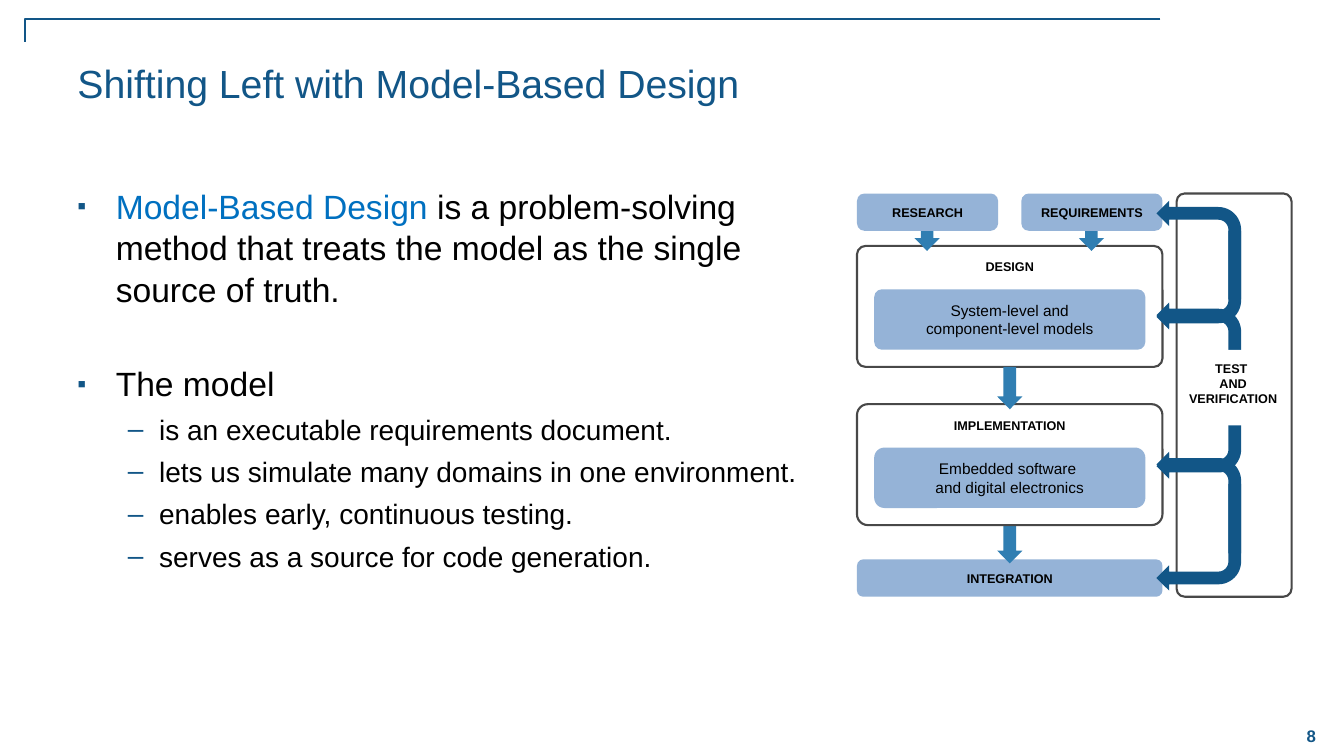
import pptx
import pptx.util
import pptx.dml.color
import pptx.enum.shapes
import pptx.enum.text
import pptx.oxml.ns
import pptx.oxml.xmlchemy

Inches, Pt = pptx.util.Inches, pptx.util.Pt
Element = pptx.oxml.xmlchemy.OxmlElement
KIND = pptx.enum.shapes.MSO_SHAPE
ALIGN = pptx.enum.text.PP_ALIGN
ANCHOR = pptx.enum.text.MSO_ANCHOR
NAVY, BLUE, PALE, GRAY = "125687", "307EB2", "95B3D7", "484848"
BLACK, WHITE = "000000", "FFFFFF"

deck = pptx.Presentation()
deck.slide_width, deck.slide_height = Inches(13.33), Inches(7.5)
slide = deck.slides.add_slide(deck.slide_layouts[6])
shapes = slide.shapes


def paint(target, color):
    """Give a fill, a line or a font one solid colour."""
    if hasattr(target, "solid"):
        target.solid()
        target = target.fore_color
    else:
        target = target.color
    target.rgb = pptx.dml.color.RGBColor.from_string(color)


def draw(kind, place, fill=None, line=None, adj=(), lines=(), size=9, bold=True, top=False):
    """Add a preset shape, or a text box if kind is None, with centred text."""
    box = [Inches(v) for v in place]
    if kind is None:
        shape = shapes.add_textbox(*box)
    else:
        shape = shapes.add_shape(kind, *box)
        shape.shadow.inherit = False
        for i, value in enumerate(adj):
            shape.adjustments[i] = value
        if fill:
            paint(shape.fill, fill)
        else:
            shape.fill.background()
        if line:
            paint(shape.line, line)
            shape.line.width = Pt(1.5)
        else:
            shape.line.fill.background()
    frame = shape.text_frame
    frame.word_wrap = True
    frame.vertical_anchor = ANCHOR.TOP if top else ANCHOR.MIDDLE
    frame.margin_left = frame.margin_right = Inches(0.1)
    frame.margin_top = frame.margin_bottom = Inches(0.1)
    for i, text in enumerate(lines):
        para = frame.paragraphs[0] if i == 0 else frame.add_paragraph()
        para.alignment = ALIGN.CENTER
        run = para.add_run()
        run.text = text
        run.font.name, run.font.size, run.font.bold = "Arial", Pt(size), bold
        paint(run.font, BLACK)
    return shape


# Header rule, title and page number
outline = shapes.build_freeform(Inches(11.51), Inches(0.19), scale=1.0)
outline.add_line_segments(
    [(Inches(0.25), Inches(0.19)), (Inches(0.25), Inches(0.42))], close=False)
rule = outline.convert_to_shape()
rule.shadow.inherit = False
rule.fill.background()
paint(rule.line, NAVY)
rule.line.width = Pt(1)

for place, text, size, bold in [
    ((0.67, 0.54, 11.78, 1.08), "Shifting Left with Model-Based Design", 28, False),
    ((12.67, 7.09, 0.67, 0.42), "8", 12, True),
]:
    label = shapes.add_textbox(*[Inches(v) for v in place])
    frame = label.text_frame
    frame.word_wrap = True
    para = frame.paragraphs[0]
    if bold:
        frame.vertical_anchor = ANCHOR.MIDDLE
        para.alignment = ALIGN.CENTER
    run = para.add_run()
    run.text = text
    run.font.name, run.font.size, run.font.bold = "Arial", Pt(size), bold
    paint(run.font, NAVY)

# Bullets: level, space before, runs
points = [
    (0, 0, [("Model-Based Design ", "0070C0"),
            ("is a problem-solving method that treats the model as the single source of truth.",
             BLACK)]),
    (0, 38, [("The model", BLACK)]),
    (1, 5, [("is an executable requirements document.", BLACK)]),
    (1, 5, [("lets us simulate many domains in one environment.", BLACK)]),
    (1, 5, [("enables early, continuous testing.", BLACK)]),
    (1, 5, [("serves as a source for code generation.", BLACK)]),
]
# Per level: left margin, hanging indent, bullet, bullet percent, size, line spacing
levels = [(0.38, 0.38, "▪", 75, 24, 1.03), (0.81, 0.31, "–", 100, 20, 1.05)]
body = shapes.add_textbox(Inches(0.67), Inches(1.78), Inches(7.53), Inches(5.08))
frame = body.text_frame
frame.word_wrap = True
for i, (level, gap, runs) in enumerate(points):
    left, hang, mark, percent, size, pitch = levels[level]
    para = frame.paragraphs[0] if i == 0 else frame.add_paragraph()
    para.level = level
    para.line_spacing = pitch
    para.space_before = Pt(gap)
    props = para._p.get_or_add_pPr()
    props.set("marL", str(Inches(left)))
    props.set("indent", str(-Inches(hang)))
    color = Element("a:buClr")
    tone = Element("a:srgbClr")
    tone.set("val", NAVY)
    color.append(tone)
    props.append(color)
    for tag, key, value in [("a:buSzPct", "val", str(percent * 1000)),
                            ("a:buFont", "typeface", "Arial"), ("a:buChar", "char", mark)]:
        part = Element(tag)
        part.set(key, value)
        props.append(part)
    for text, ink in runs:
        run = para.add_run()
        run.text = text
        run.font.name, run.font.size = "Arial", Pt(size)
        paint(run.font, ink)

# Workflow, from integration up to the inputs
ROUND, DOWN = KIND.ROUNDED_RECTANGLE, KIND.DOWN_ARROW
head = (0.5, 0.51)
draw(ROUND, (8.5, 5.55, 3.03, 0.37), PALE, lines=["INTEGRATION"])
draw(DOWN, (9.89, 5.2, 0.25, 0.39), BLUE, adj=head)
for y, name, models, outer, inner in [
    (4.01, "IMPLEMENTATION", ["Embedded software ", "and digital electronics"], 0.09, 0.17),
    (2.44, "DESIGN", ["System-level and", "component-level models"], 0.07, 0.13),
]:
    draw(ROUND, (8.5, y, 3.03, 1.2), WHITE, GRAY, [outer], lines=[name], top=True)
    draw(ROUND, (8.67, y + 0.43, 2.69, 0.6), PALE, adj=[inner],
         lines=models, size=11, bold=False)
draw(DOWN, (9.89, 3.64, 0.25, 0.42), BLUE, adj=head)

draw(ROUND, (11.67, 1.92, 1.14, 4), line=GRAY, adj=[0.07])
for x, name in [(8.5, "RESEARCH"), (10.13, "REQUIREMENTS")]:
    draw(DOWN, (x + 0.57, 2.16, 0.25, 0.33), BLUE, adj=head)
    draw(ROUND, (x, 1.92, 1.4, 0.37), PALE, adj=[0.2], lines=[name])

# Feedback arrows, alternately pointing to the top and the bottom of their bend
for i, (y, tall) in enumerate([(1.99, 0.98), (2.29, 0.98), (3, 1.17),
                               (3.58, 1.17), (4.48, 1.01), (4.8, 1.06)]):
    arrow = draw(KIND.BENT_ARROW, (11.47, y, 0.84, tall), NAVY, adj=[0.15, 0.15, 0.15, 0.27])
    arrow.rotation = 180
    if i % 2 == 0:
        arrow._element.spPr.find(pptx.oxml.ns.qn("a:xfrm")).set("flipV", "1")

draw(KIND.RECTANGLE, (11.75, 3.47, 0.92, 0.75), WHITE)
draw(None, (11.66, 3.48, 1.14, 0.66), lines=["TEST ", "AND VERIFICATION"], top=True)

deck.save("out.pptx")
